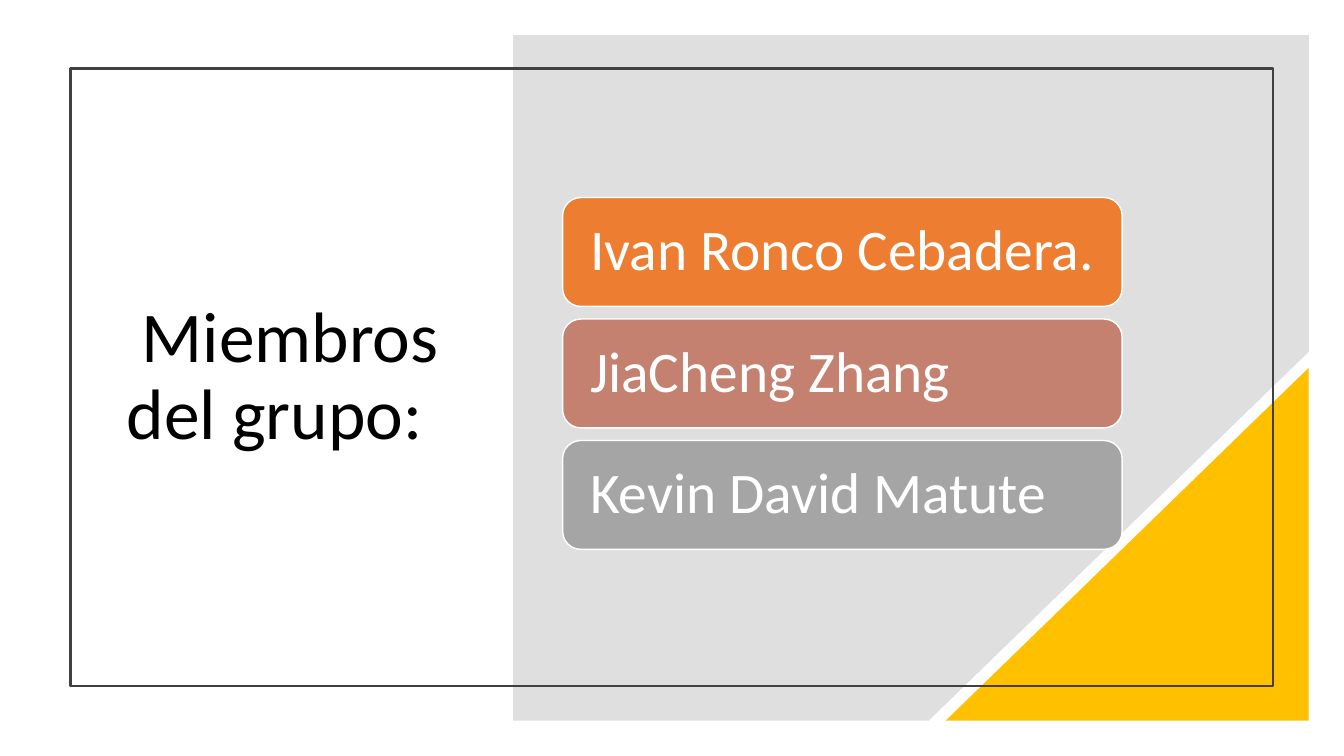
from lxml import etree
from pptx import Presentation
from pptx.dml.color import RGBColor
from pptx.enum.shapes import MSO_SHAPE
from pptx.enum.text import MSO_ANCHOR, PP_ALIGN
from pptx.oxml.ns import qn
from pptx.util import Inches, Pt

RECTANGLE = MSO_SHAPE.RECTANGLE
ROUNDED = MSO_SHAPE.ROUNDED_RECTANGLE
TRIANGLE = MSO_SHAPE.RIGHT_TRIANGLE
MIDDLE = MSO_ANCHOR.MIDDLE
LEFT, RIGHT = PP_ALIGN.LEFT, PP_ALIGN.RIGHT

FONT = "Calibri"
MEMBERS = [
    ("Ivan Ronco Cebadera.", "ED7D31"),
    ("JiaCheng Zhang", "C48170"),
    ("Kevin David Matute", "A5A5A5"),
]
CARD_TOP, CARD_STEP = 1.96, 1.205
PANEL = [(5.09, 0.35), (12.98, 0.35), (12.98, 3.49), (9.21, 7.15), (5.09, 7.15)]


def color(value):
    return RGBColor.from_string(value)


def set_all(target, values):
    for name, value in values.items():
        setattr(target, name, value)


def style_shape(shape, fill=None, line=None, width=1):
    shape.shadow.inherit = False
    if fill:
        shape.fill.solid()
        shape.fill.fore_color.rgb = color(fill)
    else:
        shape.fill.background()
    if line:
        shape.line.color.rgb = color(line)
        shape.line.width = Pt(width)
    else:
        shape.line.fill.background()


def add_box(slide, kind, box, **style):
    shape = slide.shapes.add_shape(kind, *map(Inches, box))
    style_shape(shape, **style)
    return shape


def add_panel(slide, points, fill, opacity):
    corners = [(Inches(x), Inches(y)) for x, y in points]
    builder = slide.shapes.build_freeform(*corners[0])
    builder.add_line_segments(corners[1:], close=True)
    panel = builder.convert_to_shape()
    style_shape(panel, fill)
    fill_color = panel._element.spPr.find(qn("a:solidFill"))[0]
    etree.SubElement(fill_color, qn("a:alpha")).set("val", str(opacity * 1000))


def write_text(shape, text, size, text_color, alignment, side, edge):
    frame = shape.text_frame
    set_all(frame, {
        "word_wrap": True, "vertical_anchor": MIDDLE,
        "margin_left": Inches(side), "margin_right": Inches(side),
        "margin_top": Inches(edge), "margin_bottom": Inches(edge),
    })
    paragraph = frame.paragraphs[0]
    set_all(paragraph, {"alignment": alignment, "line_spacing": 0.9})
    run = paragraph.add_run()
    run.text = text
    set_all(run.font, {"name": FONT, "size": Pt(size)})
    run.font.color.rgb = color(text_color)


def add_title(slide, text, box):
    title = slide.shapes.add_textbox(*map(Inches, box))
    write_text(title, text, 51, "000000", RIGHT, 0.1, 0.05)


def add_card(slide, text, fill, top):
    card = add_box(slide, ROUNDED, (5.58, top, 5.55, 1.08), fill=fill, line="FFFFFF")
    write_text(card, text, 41, "FFFFFF", LEFT, 0.22, 0.17)


def main():
    presentation = Presentation()
    set_all(presentation, {"slide_width": Inches(13.33), "slide_height": Inches(7.5)})
    slide = presentation.slides.add_slide(presentation.slide_layouts[6])

    # Title
    add_title(slide, "Miembros del grupo: ", (1.1, 1.3, 3.35, 4.9))

    # Background panel, corner triangle and frame
    add_panel(slide, PANEL, "808080", 25)
    corner = add_box(slide, TRIANGLE, (9.38, 3.65, 3.6, 3.5), fill="FFC000")
    corner._element.spPr.find(qn("a:xfrm")).set("flipH", "1")
    add_box(slide, RECTANGLE, (0.7, 0.68, 11.93, 6.13), line="404040", width=1.5)

    # Group members
    for index, (name, fill) in enumerate(MEMBERS):
        add_card(slide, name, fill, CARD_TOP + index * CARD_STEP)

    presentation.save("out.pptx")


if __name__ == "__main__":
    main()
